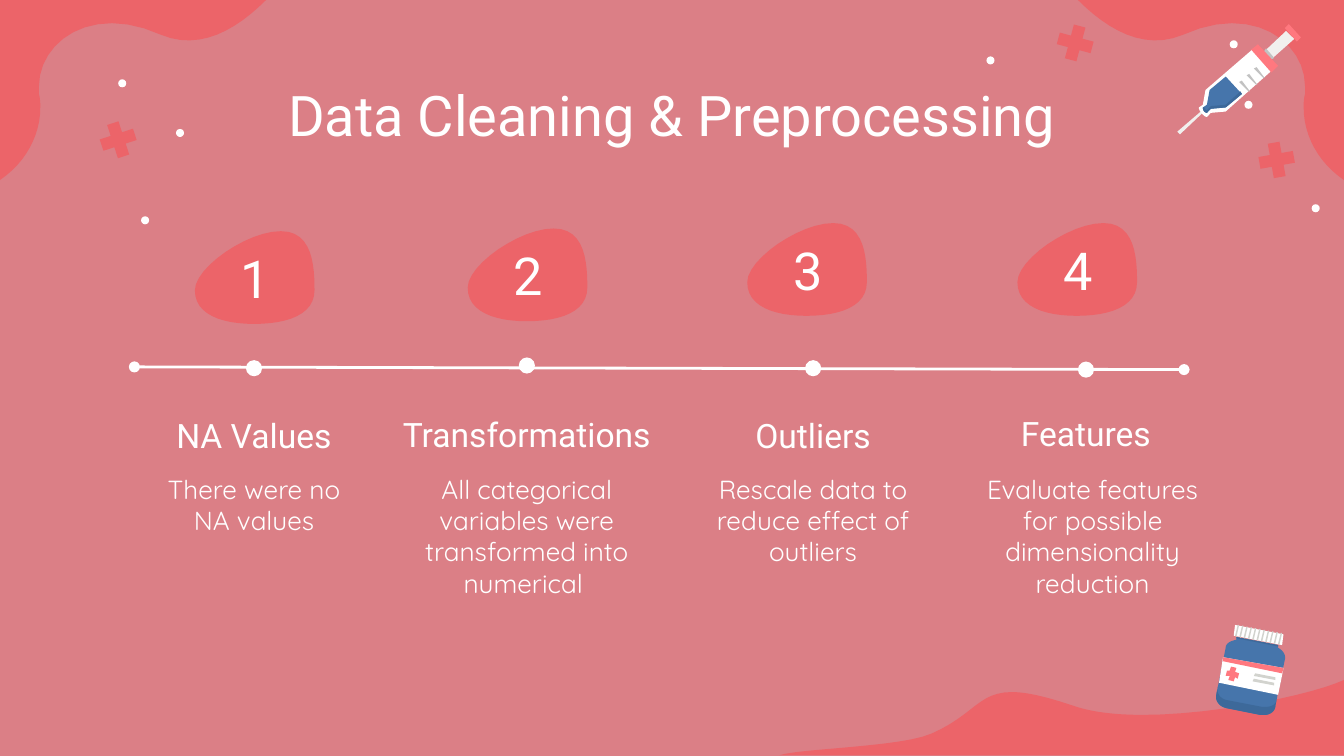
from lxml import etree
from pptx import Presentation
from pptx.dml.color import RGBColor
from pptx.enum.shapes import MSO_CONNECTOR, MSO_SHAPE
from pptx.enum.text import MSO_ANCHOR, PP_ALIGN
from pptx.oxml.ns import qn
from pptx.util import Inches, Pt

OVAL, CROSS = MSO_SHAPE.OVAL, MSO_SHAPE.CROSS
LINE = MSO_CONNECTOR.STRAIGHT
MID, TOP = MSO_ANCHOR.MIDDLE, MSO_ANCHOR.TOP
CENTER = PP_ALIGN.CENTER

HUES = {
    "back": "DB7F86", "coral": "EC6469", "white": "FFFFFF", "pink": "FF787F",
    "blue": "4675AB", "navy": "3D699A", "bone": "F1F0EE", "ash": "C1C0BF",
    "gray": "C2C2C2", "mist": "D2D3CE",
}
FRAME = {"word_wrap": True, "margin_left": Inches(0.1), "margin_right": Inches(0.1),
         "margin_top": Inches(0.1), "margin_bottom": Inches(0.1)}
FONTS = {
    "title": {"name": "Roboto", "size": Pt(30), "bold": False},
    "num": {"name": "Roboto", "size": Pt(28)},
    "head": {"name": "Roboto", "size": Pt(18)},
    "body": {"name": "Quicksand", "size": Pt(14)},
}

SYRINGE = [
    ("bone", [(21, 62), (0, 80), (2, 82), (22, 63)]),
    ("ash", [(22, 63), (21, 64), (22, 66), (23, 64)]),
    ("white", [(58, 17), (21, 49), (19, 60), (16, 62), (16, 62, 16, 64, 18, 66),
               (20, 69, 22, 69, 22, 69), (25, 66), (36, 65), (72, 33)]),
    ("bone", [(81, 5), (64, 21), (69, 27), (87, 11)]),
    ("gray", [(66, 18), (64, 21), (69, 27), (72, 25)]),
    ("pink", [(83, 0), (80, 3), (89, 13), (92, 10)]),
    ("pink", [(60, 15), (55, 19), (70, 36), (75, 31)]),
    ("blue", [(36, 39), (24, 49), (22, 60), (19, 62), (19, 62, 19, 64, 20, 65),
              (21, 66, 22, 66, 22, 66), (25, 63), (36, 62), (48, 52)]),
    ("navy", [(47, 50), (36, 60), (25, 61), (22, 64), (22, 64, 21, 64, 20, 62),
              (19, 62), (19, 62, 19, 64, 20, 65), (21, 66, 22, 66, 22, 66),
              (25, 63), (36, 62), (48, 52)]),
]
JAR = [
    ("blue", [(16, 9), (16, 11), (11, 12, 8, 14, 8, 17), (1, 52),
              (0, 56, 3, 61, 9, 62), (34, 67), (35, 67, 36, 67, 37, 67),
              (41, 67, 45, 64, 45, 60), (52, 26), (53, 23, 51, 19, 47, 17), (47, 15)]),
    ("navy", [(16, 9), (16, 10), (47, 16), (47, 15)]),
    ("white", [(15, 0), (14, 8), (50, 15), (51, 7)]),
    ("white", [(6, 24), (3, 43), (47, 52), (51, 32)]),
    ("navy", [(2, 46), (1, 52), (0, 56, 3, 61, 9, 62), (34, 67),
              (35, 67, 36, 67, 37, 67), (41, 67, 45, 64, 45, 60), (46, 55),
              (46, 59, 42, 61, 38, 61), (37, 61, 36, 61, 35, 61), (9, 56),
              (4, 55, 1, 51, 2, 46)]),
    ("pink", [(6, 24), (6, 27), (50, 36), (51, 32)]),
    ("pink", [(12, 31), (11, 34), (9, 34), (8, 38), (11, 38), (10, 41), (14, 42),
              (15, 39), (17, 40), (18, 36), (15, 35), (16, 32)]),
]
TICK = [(59, 32), (57, 33), (64, 40), (65, 40)]
RIDGE = [(17, 0), (15, 8), (16, 9), (18, 0)]
RULE = [(30, 36), (29, 38), (45, 41), (45, 39)]
CORNER = [(198, 0), (176, 22, 149, 38, 120, 26), (67, 2, 29, 32, 29, 64),
          (29, 66, 29, 68, 29, 70), (30, 74, 30, 77, 30, 80),
          (30, 101, 19, 121, 0, 134), (0, 0)]
WAVE = [(420, 56), (420, 0), (399, 10, 327, 26, 270, 26), (250, 26, 232, 24, 218, 19),
        (197, 12, 183, 9, 173, 9), (148, 9, 145, 26, 113, 40), (90, 50, 15, 51, 0, 56)]
BLOB = [(64, 0), (39, 0, 0, 27, 0, 44), (0, 62, 20, 69, 44, 69),
        (69, 69, 89, 62, 89, 44), (89, 27, 88, 0, 64, 0)]
STEPS = [
    ("NA Values", "There were no NA values", 1.89, 1.45, 1.72, 2.68, 2.99, 1.72),
    ("Transformations", "All categorical variables were transformed into numerical ",
     3.92, 3.48, 1.7, 2.66, 2.98, 1.72),
    ("Outliers", "Rescale data to reduce effect of outliers",
     6.05, 5.56, 1.66, 2.68, 2.99, 1.72),
    ("Features", "Evaluate features for possible dimensionality reduction",
     8.08, 7.57, 1.66, 2.69, 2.97, 1.82),
]
DOTS = [(9.76, 1.52), (9.26, 0.75), (9.15, 0.3), (7.34, 0.42),
        (0.88, 0.59), (1.05, 1.61), (1.31, 0.96)]
PLUSES = [(9.37, 1.06, -10), (7.87, 0.19, 15), (0.75, 0.91, -18)]


def color(hue):
    return RGBColor.from_string(HUES[hue])


def paint(shape, hue):
    shape.shadow.inherit = False
    shape.fill.solid()
    shape.fill.fore_color.rgb = color(hue)
    shape.line.fill.background()
    return shape


def trace(path, steps=12):
    spots = []
    for item in path:
        if len(item) == 2:
            spots.append(item)
            continue
        a, b, c, d = spots[-1], item[:2], item[2:4], item[4:]
        for i in range(1, steps + 1):
            t = i / steps
            u = 1 - t
            spots.append(tuple(u**3 * a[k] + 3 * u * u * t * b[k]
                               + 3 * u * t * t * c[k] + t**3 * d[k] for k in (0, 1)))
    return spots


def draw(slide, x, y, path, hue, flip=1):
    spots = [(Inches(x + flip * px / 100), Inches(y + py / 100)) for px, py in trace(path)]
    pen = slide.shapes.build_freeform(*spots[0], scale=1.0)
    pen.add_line_segments(spots[1:], close=True)
    return paint(pen.convert_to_shape(), hue)


def preset(slide, kind, x, y, size, hue):
    return paint(slide.shapes.add_shape(kind, *map(Inches, (x, y, size, size))), hue)


def write(shape, text, style, anchor=TOP, after=0):
    frame = shape.text_frame
    for key, val in FRAME.items():
        setattr(frame, key, val)
    frame.vertical_anchor = anchor
    para = frame.paragraphs[0]
    para.alignment, para.space_after = CENTER, Pt(after)
    run = para.add_run()
    run.text = text
    for key, val in FONTS[style].items():
        setattr(run.font, key, val)
    run.font.color.rgb = color("white")


def label(slide, box, *args):
    write(slide.shapes.add_textbox(*map(Inches, box)), *args)


def shift(path, dx, dy):
    return [(px + dx, py + dy) for px, py in path]


def icon(slide, x, y, parts):
    slide.shapes.add_group_shape([draw(slide, x, y, path, hue) for hue, path in parts])


def scenery(slide):
    draw(slide, 5.8, 5.06, WAVE, "coral")
    draw(slide, 10, 0, CORNER, "coral", -1)
    draw(slide, 0, 0, CORNER, "coral")
    for x, y, turn in PLUSES:
        plus = preset(slide, CROSS, x, y, 0.26, "coral")
        plus.adjustments[0] = 0.33
        plus.rotation = turn
    for x, y in DOTS:
        preset(slide, OVAL, x, y, 0.06, "white")


def title(slide, box, text):
    shape = slide.shapes.title
    shape.left, shape.top, shape.width, shape.height = map(Inches, box)
    write(shape, text, "title", MID)


def axis(slide, x, y, end, low):
    line = slide.shapes.add_connector(LINE, *map(Inches, (x, y, end, low)))
    line.line.color.rgb = color("white")
    line.line.width = Pt(1.5)
    pen = line.line._get_or_add_ln()
    for tag in ("a:headEnd", "a:tailEnd"):
        etree.SubElement(pen, qn(tag), type="oval")
    etree.SubElement(line._element.spPr, qn("a:effectLst"))


def step(slide, num, head, body, mid, left, top, dot, low, wide):
    draw(slide, left, top, BLOB, "coral")
    label(slide, (left - 0.05, top + 0.1, 1, 0.49), num, "num", MID)
    preset(slide, OVAL, mid - 0.06, dot, 0.12, "white")
    label(slide, (mid - 1.03, low, 2.06, 0.44), head, "head", TOP, 16)
    label(slide, (mid - 0.86, 3.42, wide, 1), body, "body", TOP, 16)


def main():
    deck = Presentation()
    deck.slide_width, deck.slide_height = Inches(10), Inches(10 * 9 / 16)
    slide = deck.slides.add_slide(deck.slide_layouts[5])
    slide.background.fill.solid()
    slide.background.fill.fore_color.rgb = color("back")
    scenery(slide)
    ticks = [("gray", shift(TICK, -5.5 * i, 5 * i)) for i in range(3)]
    icon(slide, 8.76, 0.18, SYRINGE[:7] + ticks + SYRINGE[7:])
    title(slide, (0.78, 0.59, 8.44, 0.52), "Data Cleaning & Preprocessing")
    ridges = [("mist", shift(RIDGE, 3.2 * i, 0.6 * i)) for i in range(11)]
    rules = [("mist", shift(RULE, -i, 4 * i)) for i in range(2)]
    icon(slide, 9.04, 4.65, JAR[:3] + ridges + JAR[3:] + rules)
    axis(slide, 1, 2.73, 8.81, 2.75)
    for num, item in enumerate(STEPS, 1):
        step(slide, str(num), *item)
    deck.save("out.pptx")


if __name__ == "__main__":
    main()
